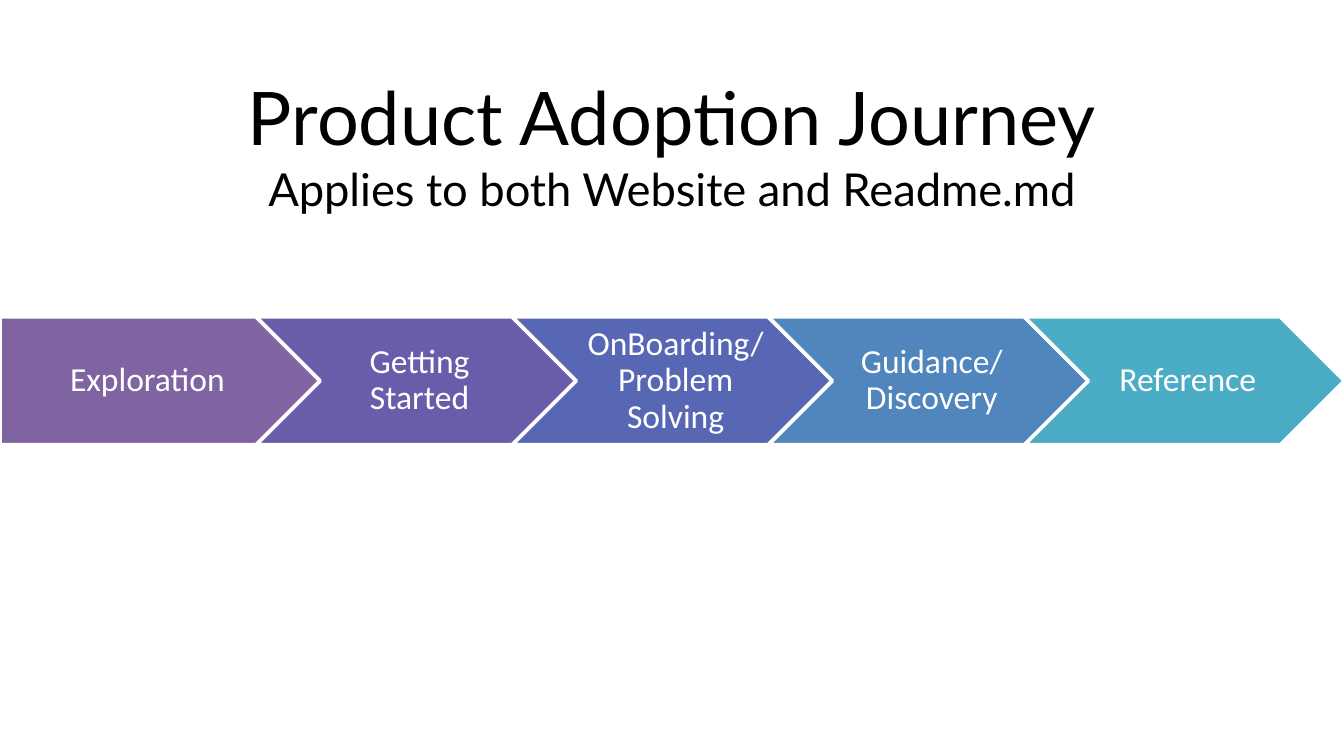
from pptx import Presentation
from pptx.dml.color import RGBColor
from pptx.enum.shapes import MSO_SHAPE
from pptx.enum.text import MSO_ANCHOR, PP_ALIGN
from pptx.util import Cm, Pt

PENTAGON, CHEVRON = MSO_SHAPE.PENTAGON, MSO_SHAPE.CHEVRON
MIDDLE, CENTER = MSO_ANCHOR.MIDDLE, PP_ALIGN.CENTER

STAGES = [
    ("Exploration", "8064A2"),
    ("Getting Started", "685DAB"),
    ("OnBoarding/Problem Solving", "5767B4"),
    ("Guidance/Discovery", "5185BD"),
    ("Reference", "4BACC6"),
]
STAGE_W, STAGE_H, PITCH, STAGE_TOP = 6.05, 2.42, 4.84, 5.99
STAGE_FRAME = {
    "word_wrap": True, "vertical_anchor": MIDDLE,
    "margin_left": Cm(0.2), "margin_right": Cm(0.07),
    "margin_top": Cm(0.14), "margin_bottom": Cm(0.14),
}


def rgb(value):
    return RGBColor.from_string(value)


def add_run(p, text, font, size, color):
    r = p.add_run()
    r.text = text
    for name, value in {"name": font, "size": Pt(size)}.items():
        setattr(r.font, name, value)
    r.font.color.rgb = rgb(color)


prs = Presentation()
prs.slide_width, prs.slide_height = Cm(25.4), Cm(14.29)
s = prs.slides.add_slide(prs.slide_layouts[6])

# Journey stages
for i, (label, color) in enumerate(STAGES):
    kind = CHEVRON if i else PENTAGON
    sp = s.shapes.add_shape(kind, Cm(i * PITCH), Cm(STAGE_TOP),
                            Cm(STAGE_W), Cm(STAGE_H))
    sp.shadow.inherit = False
    sp.fill.solid()
    sp.fill.fore_color.rgb = rgb(color)
    sp.line.color.rgb = rgb("FFFFFF")
    sp.line.width = Pt(2)
    tf = sp.text_frame
    for name, value in STAGE_FRAME.items():
        setattr(tf, name, value)
    p = tf.paragraphs[0]
    p.alignment = CENTER
    p.line_spacing = 0.9
    add_run(p, label, "Calibri", 18, "FFFFFF")

# Title
tf = s.shapes.add_textbox(Cm(1.27), Cm(1.52), Cm(22.86), Cm(2.39)).text_frame
tf.word_wrap = True
tf.vertical_anchor = MIDDLE
p = tf.paragraphs[0]
p.alignment = CENTER
add_run(p, "Product Adoption Journey", "Lato", 39.6, "000000")
p.add_line_break()
add_run(p, "Applies to both Website and Readme.md", "Lato", 24.3, "000000")

prs.save("out.pptx")
